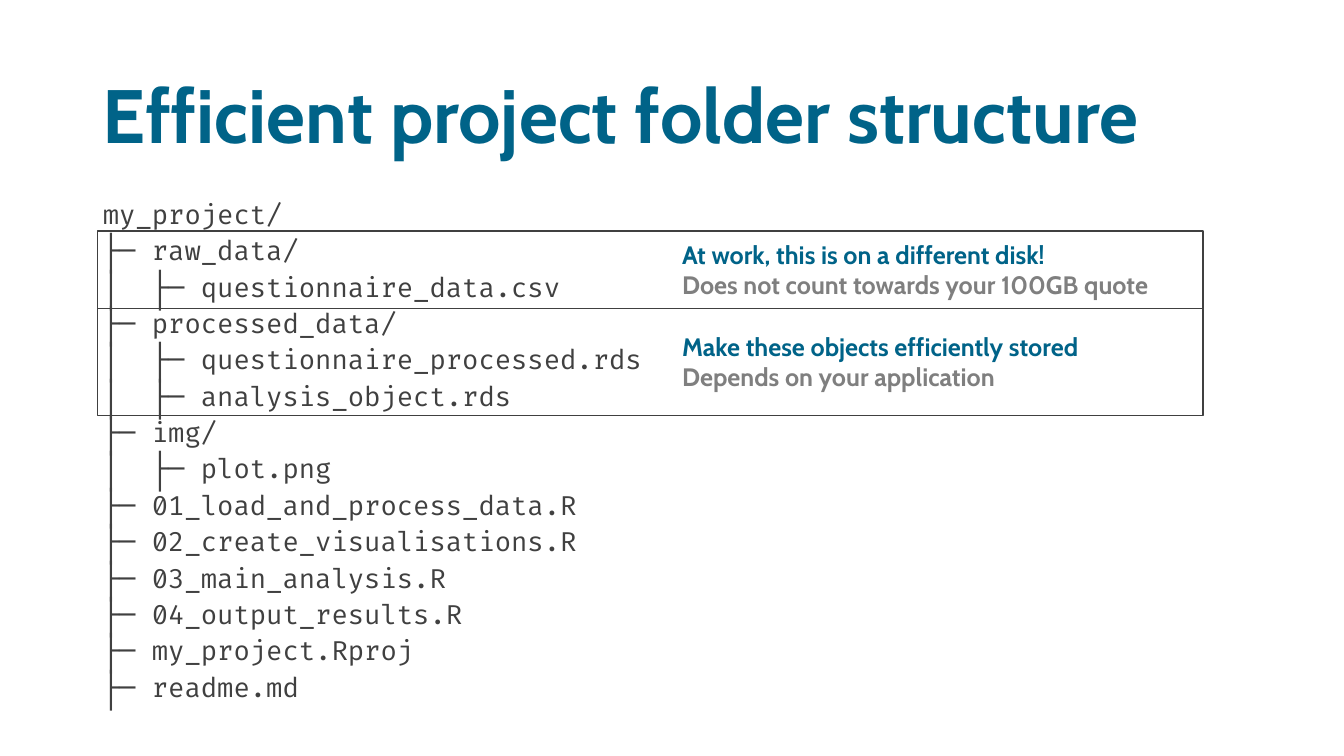
from dataclasses import dataclass

from lxml.etree import SubElement
from pptx import Presentation
from pptx.dml.color import RGBColor
from pptx.enum.shapes import MSO_SHAPE
from pptx.enum.text import MSO_ANCHOR, MSO_AUTO_SIZE, PP_ALIGN
from pptx.oxml.ns import qn
from pptx.shapes.base import BaseShape
from pptx.slide import Slide
from pptx.text.text import TextFrame
from pptx.util import Cm, Pt

BLUE = RGBColor(0x00, 0x63, 0x88)
DARK = RGBColor(0x40, 0x40, 0x40)
GREY = RGBColor(0x7F, 0x7F, 0x7F)

TITLE = {"name": "Cabin", "size": Pt(54), "bold": True}
CODE = {"name": "Fira Code", "size": Pt(19), "bold": False}
NOTE = {"name": "Cabin", "size": Pt(18), "bold": True}

TREE = """my_project/
├─ raw_data/
│  ├─ questionnaire_data.csv
├─ processed_data/
│  ├─ questionnaire_processed.rds
│  ├─ analysis_object.rds
├─ img/
│  ├─ plot.png
├─ 01_load_and_process_data.R
├─ 02_create_visualisations.R
├─ 03_main_analysis.R
├─ 04_output_results.R
├─ my_project.Rproj
├─ readme.md""".splitlines()


@dataclass(frozen=True)
class Zone:
    """A framed part of the tree with a two-line remark, in centimetres."""
    top: float
    height: float
    head: str
    hint: str


ZONES = [
    Zone(5.82, 1.96, "At work, this is on a different disk!",
         "Does not count towards your 100GB quote"),
    Zone(7.78, 2.69, "Make these objects efficiently stored",
         "Depends on your application"),
]
NOTE_HEIGHT = 1.8


def place(shape: BaseShape, left: float, top: float,
          width: float, height: float) -> None:
    spot = {"left": left, "top": top, "width": width, "height": height}
    for key, value in spot.items():
        setattr(shape, key, Cm(value))


def write(frame: TextFrame, lines: list[tuple[str, RGBColor]], style: dict,
          form: dict) -> None:
    """Fill the frame with one unbulleted paragraph per line."""
    frame.word_wrap = True
    frame.auto_size = MSO_AUTO_SIZE.NONE
    for index, (text, color) in enumerate(lines):
        para = frame.add_paragraph() if index else frame.paragraphs[0]
        props = para._p.get_or_add_pPr()
        props.set("marL", "0")
        props.set("indent", "0")
        SubElement(props, qn("a:buNone"))
        for key, value in form.items():
            setattr(para, key, value)
        if not index:
            para.space_before = Pt(0)
        run = para.add_run()
        run.text = text
        for key, value in style.items():
            setattr(run.font, key, value)
        run.font.color.rgb = color


def add_note(slide: Slide, zone: Zone) -> None:
    top = zone.top + (zone.height - NOTE_HEIGHT) / 2
    box = slide.shapes.add_textbox(Cm(16.94), Cm(top), Cm(13.51), Cm(NOTE_HEIGHT))
    write(box.text_frame, [(zone.head, BLUE), (zone.hint, GREY)], NOTE, {})


def add_frame(slide: Slide, zone: Zone) -> None:
    rect = slide.shapes.add_shape(MSO_SHAPE.RECTANGLE, Cm(2.46), Cm(zone.top),
                                  Cm(27.86), Cm(zone.height))
    rect.shadow.inherit = False
    rect.fill.background()
    rect.line.color.rgb = DARK
    rect.line.width = Pt(1)


def main() -> None:
    deck = Presentation()
    deck.slide_width, deck.slide_height = Cm(33.87), Cm(19.05)
    slide = deck.slides.add_slide(deck.slide_layouts[1])

    title, body = slide.placeholders
    place(title, 2.34, 1.02, 29.21, 3.68)
    title.text_frame.vertical_anchor = MSO_ANCHOR.MIDDLE
    write(title.text_frame, [("Efficient project folder structure", BLUE)],
          TITLE, {"alignment": PP_ALIGN.LEFT})

    place(body, 2.34, 5.08, 29.21, 12.95)
    write(body.text_frame, [(line, DARK) for line in TREE], CODE,
          {"line_spacing": 0.7, "space_before": Pt(10)})

    for draw in (add_note, add_frame):
        for zone in ZONES:
            draw(slide, zone)
    deck.save("out.pptx")


if __name__ == "__main__":
    main()
